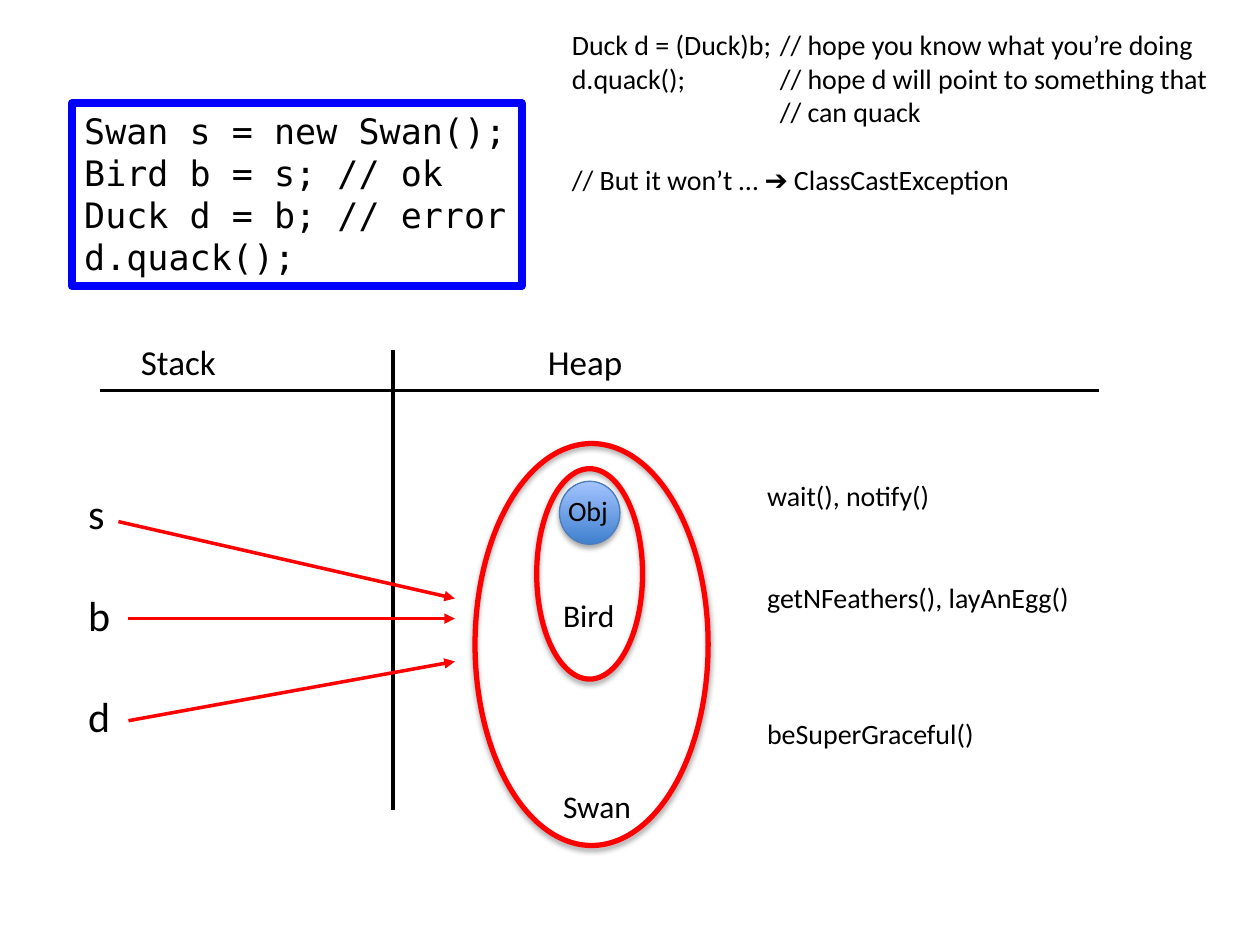
from lxml.etree import SubElement
from pptx import Presentation
from pptx.dml.color import RGBColor
from pptx.enum.shapes import MSO_CONNECTOR as CONNECTOR, MSO_SHAPE as SHAPE
from pptx.enum.text import MSO_ANCHOR as ANCHOR, PP_ALIGN as ALIGN
from pptx.oxml.ns import qn
from pptx.util import Inches, Pt

BLACK, RED, BLUE = "000000", "FF0000", "0000FF"
LINE_HEIGHT = 1.22  # Calibri line height as a share of its size
BLANK_LAYOUT = 6


def color(hex_string):
    return RGBColor.from_string(hex_string)


def box(left, top, width, height):
    return [Inches(value) for value in (left, top, width, height)]


def set_line(shape, hex_string, width):
    shape.line.color.rgb = color(hex_string)
    shape.line.width = Pt(width)


def write(shape, lines, size, font="Calibri", wrap=False, gaps=(), tab=None):
    """Fill a shape with left-aligned lines; gaps maps a line's index to the lines skipped before it."""
    frame = shape.text_frame
    frame.word_wrap = wrap
    frame.vertical_anchor = ANCHOR.TOP
    gaps = dict(gaps)
    for index, line in enumerate(lines):
        paragraph = frame.add_paragraph() if index else frame.paragraphs[0]
        paragraph.alignment = ALIGN.LEFT
        if index in gaps:
            paragraph.space_before = Pt(round(gaps[index] * size * LINE_HEIGHT, 1))
        if tab:
            tab_list = SubElement(paragraph._p.get_or_add_pPr(), qn("a:tabLst"))
            SubElement(tab_list, qn("a:tab"), pos=str(Inches(tab)), algn="l")
        run = paragraph.add_run()
        run.text = line
        run.font.size = Pt(size)
        run.font.name = font
        run.font.color.rgb = color(BLACK)


def add_label(slide, place, lines, size, **text_format):
    write(slide.shapes.add_textbox(*box(*place)), lines, size, **text_format)


def add_code_frame(slide, place, lines):
    shape = slide.shapes.add_shape(SHAPE.RECTANGLE, *box(*place))
    shape.shadow.inherit = False
    shape.fill.background()
    set_line(shape, BLUE, 4.5)
    write(shape, lines, 20, font="DejaVu Sans Mono")


def add_oval(slide, place, line, width, gradient=None):
    """Add an ellipse with a soft shadow below; gradient gives bottom and top colours."""
    shape = slide.shapes.add_shape(SHAPE.OVAL, *box(*place))
    set_line(shape, line, width)
    if gradient:
        shape.fill.gradient()
        shape.fill.gradient_angle = 90
        for stop, hex_string in zip(shape.fill.gradient_stops, gradient):
            stop.color.rgb = color(hex_string)
    else:
        shape.fill.background()
    shape.shadow.inherit = False
    effects = shape._element.spPr.find(qn("a:effectLst"))
    shadow = SubElement(effects, qn("a:outerShdw"), blurRad=str(Pt(3.1)),
                        dist=str(Pt(1.8)), dir="5400000", rotWithShape="0")
    shade = SubElement(shadow, qn("a:srgbClr"), val=BLACK)
    SubElement(shade, qn("a:alpha"), val="35000")


def add_line(slide, start, end, hex_string, arrow=False):
    ends = [Inches(value) for value in (*start, *end)]
    connector = slide.shapes.add_connector(CONNECTOR.STRAIGHT, *ends)
    set_line(connector, hex_string, 2)
    if arrow:
        SubElement(connector.line._get_or_add_ln(), qn("a:tailEnd"), type="triangle")
    SubElement(connector._element.spPr, qn("a:effectLst"))


def add_memory_table(slide):
    add_line(slide, (0.79, 3.1), (8.72, 3.1), BLACK)
    add_line(slide, (3.12, 2.78), (3.12, 6.43), BLACK)
    add_label(slide, (1.02, 2.65, 4.2, 0.44), ["Stack\tHeap"], 20, wrap=True, tab=3.23)
    add_label(slide, (0.6, 3.82, 0.38, 2.12), ["s", "b", "d"], 24, gaps={1: 1, 2: 1})


def add_nested_object(slide):
    add_oval(slide, (4.44, 3.82, 0.48, 0.5), "4B7EBC", 0.75, gradient=("3F80CE", "A4C4FF"))
    add_label(slide, (4.41, 3.87, 0.52, 0.37), ["Obj"], 16)
    add_oval(slide, (4.26, 3.72, 0.84, 1.67), RED, 3)
    add_label(slide, (4.37, 4.68, 0.75, 1.92), ["Bird", "Swan"], 18, gaps={1: 4})
    add_oval(slide, (3.77, 3.52, 1.85, 3.19), RED, 3)
    methods = ["wait(), notify()", "getNFeathers(), layAnEgg()", "beSuperGraceful()"]
    add_label(slide, (5.99, 3.75, 2.64, 2.26), methods, 16, gaps={1: 2, 2: 3})


def add_references(slide):
    for start, end_y in (((0.94, 4.14), 4.75), ((1.02, 4.91), 4.91), ((1.02, 5.72), 5.25)):
        add_line(slide, start, (3.61, end_y), RED, arrow=True)


def main():
    presentation = Presentation()
    presentation.slide_width, presentation.slide_height = Inches(10), Inches(7.5)
    slide = presentation.slides.add_slide(presentation.slide_layouts[BLANK_LAYOUT])

    add_code_frame(slide, (0.57, 0.82, 3.57, 1.45), [
        "Swan s = new Swan();",
        "Bird b = s; // ok",
        "Duck d = b; // error",
        "d.quack();",
    ])
    add_memory_table(slide)
    add_nested_object(slide)
    add_references(slide)
    add_label(slide, (4.44, 0.17, 5.42, 1.45), [
        "Duck d = (Duck)b;\t// hope you know what you’re doing",
        "d.quack();\t// hope d will point to something that",
        "\t// can quack",
        "// But it won’t … ➔ ClassCastException",
    ], 16, wrap=True, gaps={3: 1}, tab=1.65)

    presentation.save("out.pptx")


if __name__ == "__main__":
    main()
